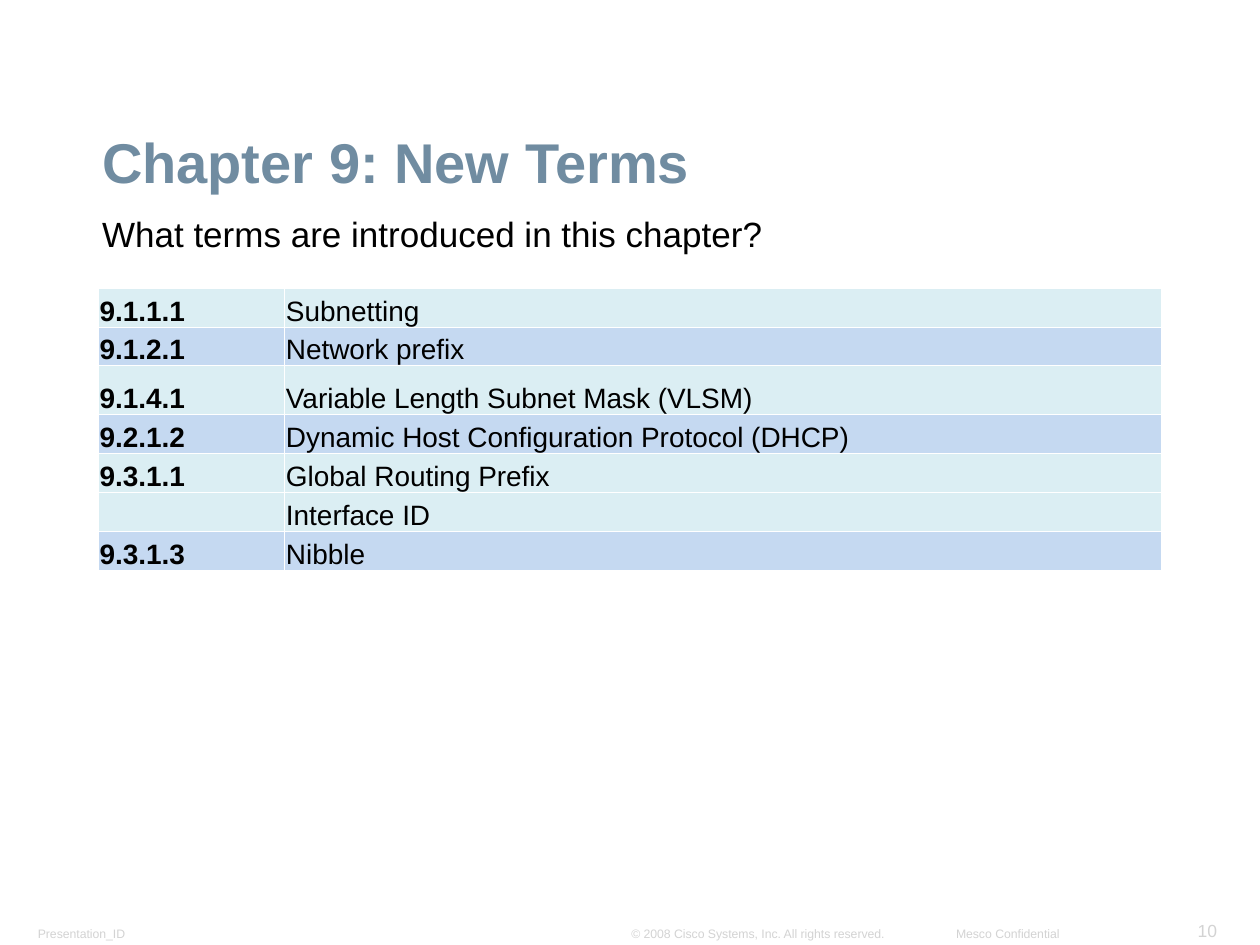
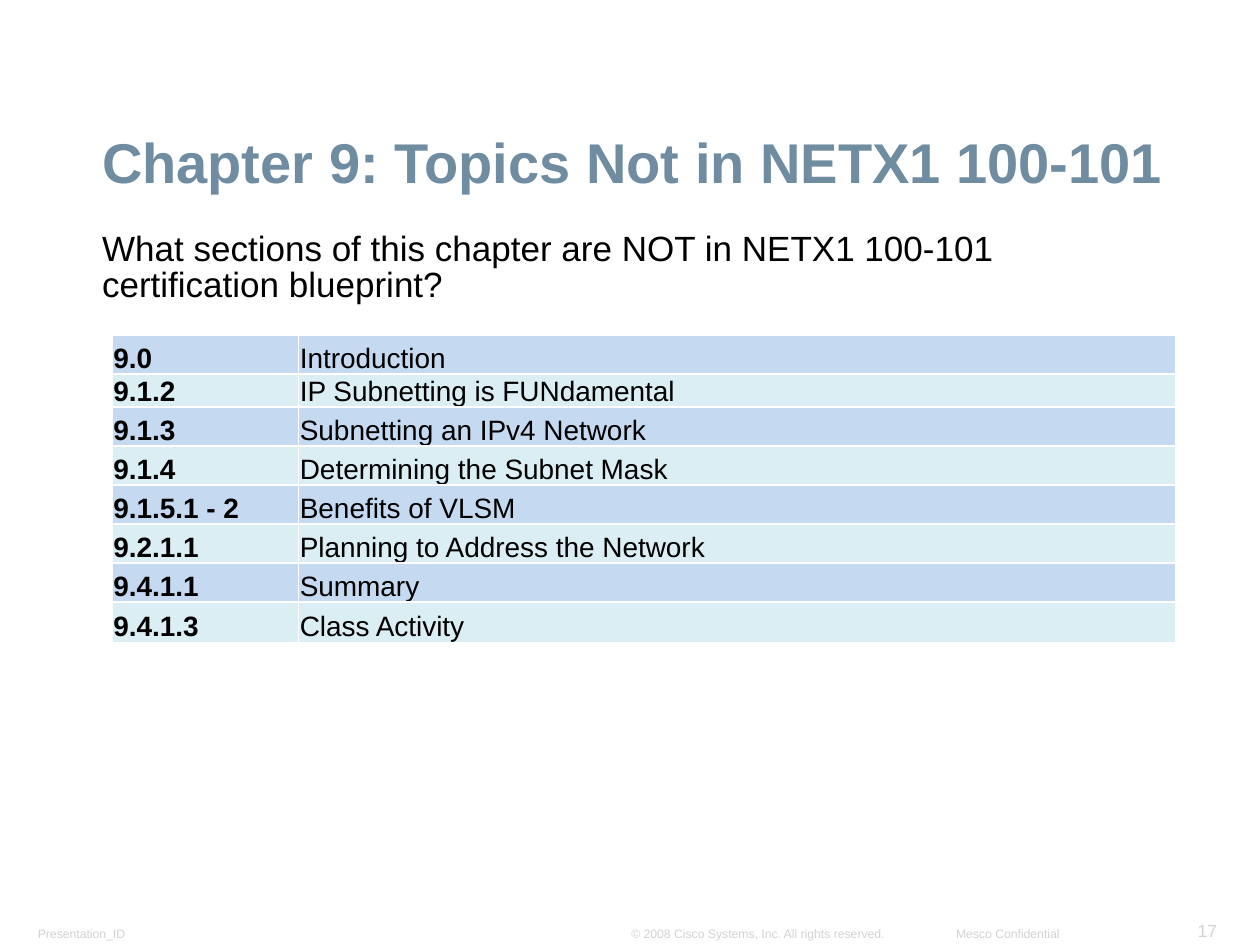
from dataclasses import dataclass

from pptx import Presentation
from pptx.dml.color import RGBColor
from pptx.enum.text import MSO_ANCHOR as Anchor, MSO_AUTO_SIZE as AutoSize, PP_ALIGN as Align
from pptx.util import Inches, Pt


@dataclass(frozen=True)
class Theme:
    """Colours and type sizes shared by all slides."""
    font: str = "Arial"
    title: str = "708CA1"
    text: str = "000000"
    footer: str = "D3D3D3"
    light_band: str = "DBEEF3"
    dark_band: str = "C5D9F1"
    title_size: int = 32
    question_size: int = 20
    table_size: int = 16
    number_size: int = 10
    footer_size: int = 7


THEME = Theme()
TITLE_BOX = (0.72, 0.67, 8.91, 0.92)
COLUMN_WIDTHS = (1.48, 6.96)
FOOTER_ITEMS = (
    ("Presentation_ID", (0.21, 7.3, 1.05, 0.21), Align.LEFT),
    ("© 2008 Cisco Systems, Inc. All rights reserved.", (4.92, 7.3, 2.21, 0.21), Align.LEFT),
    ("Mesco Confidential", (7.54, 7.3, 0.96, 0.21), Align.RIGHT),
)
NUMBER_BOX = (9.4, 7.25, 0.35, 0.26)

NEW_TERMS = (
    ("9.1.1.1", "Subnetting", 0.31),
    ("9.1.2.1", "Network prefix", 0.3),
    ("9.1.4.1", "Variable Length Subnet Mask (VLSM)", 0.39),
    ("9.2.1.2", "Dynamic Host Configuration Protocol (DHCP)", 0.31),
    ("9.3.1.1", "Global Routing Prefix", 0.31),
    ("", "Interface ID", 0.31),
    ("9.3.1.3", "Nibble", 0.31),
)
EXCLUDED_TOPICS = (
    ("9.0", "Introduction", 0.31),
    ("9.1.2", "IP Subnetting is FUNdamental", 0.26),
    ("9.1.3", "Subnetting an IPv4 Network", 0.31),
    ("9.1.4", "Determining the Subnet Mask", 0.31),
    ("9.1.5.1 - 2", "Benefits of VLSM", 0.31),
    ("9.2.1.1", "Planning to Address the Network", 0.31),
    ("9.4.1.1", "Summary", 0.31),
    ("9.4.1.3", "Class Activity", 0.32),
)


def write(frame, text, size, color, bold=False, align=Align.LEFT, spacing=1.0):
    """Put one formatted paragraph into a text frame."""
    para = frame.paragraphs[0]
    para.text = text
    para.alignment = align
    para.line_spacing = spacing
    para.space_before = Pt(0)
    para.font.name = THEME.font
    para.font.size = Pt(size)
    para.font.bold = bold
    para.font.color.rgb = RGBColor.from_string(color)


def set_frame(frame, anchor, wrap=True):
    """Give a text frame the common insets, anchor and wrapping."""
    frame.auto_size = AutoSize.NONE
    frame.word_wrap = wrap
    frame.vertical_anchor = anchor
    frame.margin_left = frame.margin_right = Inches(0.09)
    frame.margin_top = frame.margin_bottom = Inches(0.04)


def add_text(page, box, text, size, color, anchor, wrap=True, **style):
    """Add a text box with one paragraph."""
    frame = page.shapes.add_textbox(*map(Inches, box)).text_frame
    set_frame(frame, anchor, wrap)
    write(frame, text, size, color, **style)


def add_title(page, box, text):
    """Place and format the title placeholder."""
    title = page.shapes.title
    title.left, title.top, title.width, title.height = map(Inches, box)
    set_frame(title.text_frame, Anchor.BOTTOM)
    write(title.text_frame, text, THEME.title_size, THEME.title, bold=True, spacing=0.9)


def add_footer(page, number):
    """Add the footer line and the slide number."""
    for text, box, align in FOOTER_ITEMS:
        add_text(page, box, text, THEME.footer_size, THEME.footer, Anchor.BOTTOM,
                 wrap=False, align=align)
    add_text(page, NUMBER_BOX, str(number), THEME.number_size, THEME.footer, Anchor.BOTTOM,
             wrap=False, align=Align.RIGHT)


def add_section_table(page, left, top, entries, bands):
    """Add a table whose band changes with each new section number."""
    box = (left, top, sum(COLUMN_WIDTHS), sum(height for *_, height in entries))
    table = page.shapes.add_table(len(entries), len(COLUMN_WIDTHS), *map(Inches, box)).table
    table.first_row = table.horz_banding = False
    for column, width in zip(table.columns, COLUMN_WIDTHS):
        column.width = Inches(width)
    section_count = 0
    for row, (section, topic, height) in zip(table.rows, entries):
        row.height = Inches(height)
        section_count += bool(section)
        band = bands[(section_count - 1) % len(bands)]
        for cell, text, bold in zip(row.cells, (section, topic), (True, False)):
            cell.fill.solid()
            cell.fill.fore_color.rgb = RGBColor.from_string(band)
            cell.vertical_anchor = Anchor.BOTTOM
            cell.margin_left = cell.margin_right = cell.margin_top = Inches(0.01)
            cell.margin_bottom = 0
            write(cell.text_frame, text, THEME.table_size, THEME.text, bold=bold)


def add_section_slide(deck, number, title, question, question_box, spacing,
                      table_corner, entries, bands):
    """Add a slide with a title, a question and a table of sections."""
    page = deck.slides.add_slide(deck.slide_layouts[5])
    add_footer(page, number)
    add_title(page, TITLE_BOX, title)
    add_text(page, question_box, question, THEME.question_size, THEME.text, Anchor.TOP,
             spacing=spacing)
    add_section_table(page, *table_corner, entries, bands)


def main():
    """Build and save the deck."""
    deck = Presentation()
    deck.slide_width, deck.slide_height = Inches(10), Inches(7.5)
    bands = (THEME.light_band, THEME.dark_band)
    add_section_slide(deck, 10, "Chapter 9: New Terms",
                      "What terms are introduced in this chapter?",
                      (0.72, 1.67, 8.68, 0.54), 0.95, (0.78, 2.29), NEW_TERMS, bands)
    add_section_slide(deck, 17, "Chapter 9: Topics Not in NETX1 100-101",
                      "What sections of this chapter are NOT in NETX1 100-101 "
                      "certification blueprint?",
                      (0.72, 1.81, 8.68, 0.38), 0.85, (0.89, 2.66), EXCLUDED_TOPICS, bands[::-1])
    deck.save("out.pptx")


if __name__ == "__main__":
    main()
